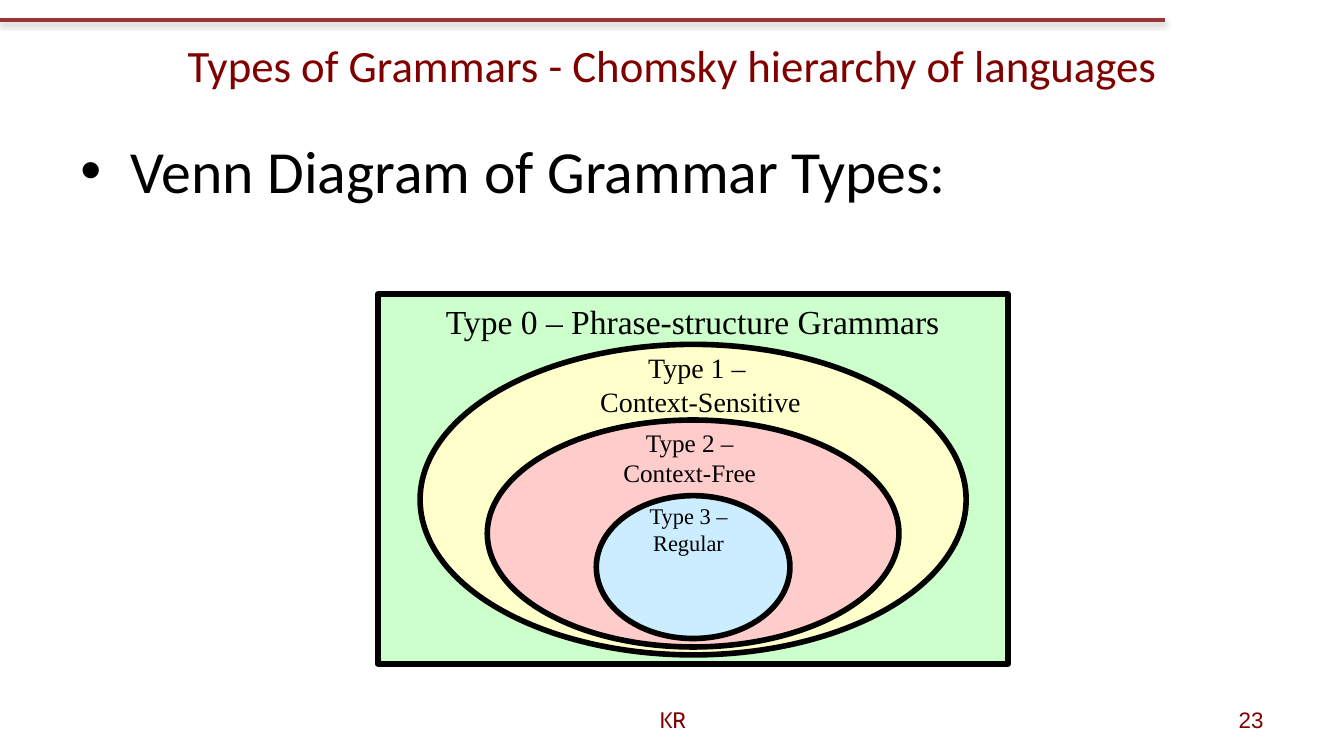
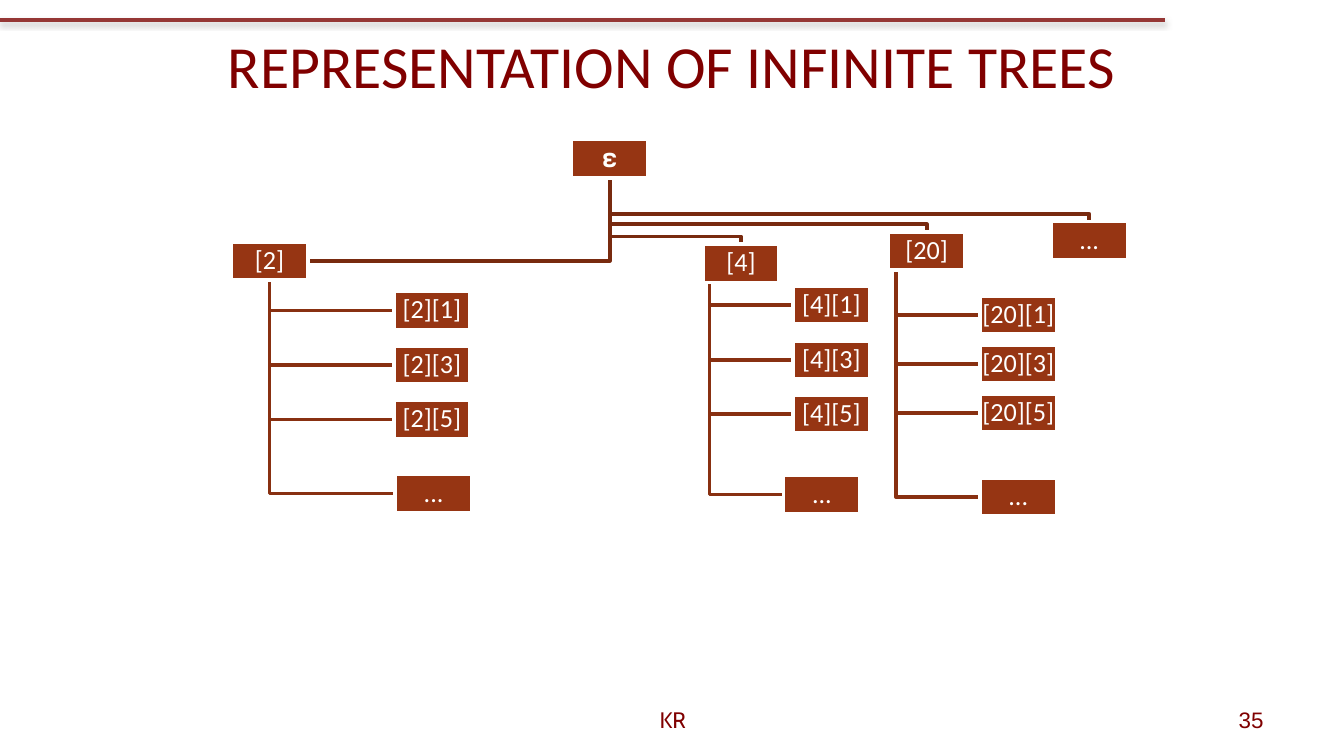
"""Builds two slides on formal grammars: nested grammar types and an infinite tree."""
import copy
import lxml.etree
import pptx
import pptx.dml.color
import pptx.enum.shapes
import pptx.enum.text
import pptx.oxml
import pptx.oxml.ns
import pptx.util

Cm = pptx.util.Cm
Pt = pptx.util.Pt
rgb = pptx.dml.color.RGBColor.from_string
qn = pptx.oxml.ns.qn
Align = pptx.enum.text.PP_ALIGN
Anchor = pptx.enum.text.MSO_ANCHOR
Kind = pptx.enum.shapes.MSO_SHAPE

hues = {
    "rule": "953735", "title": "800000", "ink": "000000", "white": "FFFFFF",
    "green": "CCFFCC", "cream": "FFFFCC", "pink": "FFCCCC", "sky": "CCECFF",
    "node": "963513", "stem": "782A0F", "twig": "883011",
}


def write(shape, text, size, hue, font="Calibri", align=Align.CENTER,
          anchor=Anchor.MIDDLE, wrap=True):
    """Fill a shape with one styled paragraph and return it."""
    frame = shape.text_frame
    frame.word_wrap = wrap
    frame.vertical_anchor = anchor
    para = frame.paragraphs[0]
    para.text = text
    para.alignment = align
    for run in para.runs:
        run.font.size = Pt(size)
        run.font.name = font
        run.font.color.rgb = rgb(hues[hue])
    for gap in para._p.findall(qn("a:br")):
        gap.insert(0, copy.deepcopy(para.runs[0]._r.rPr))
    return para


def paint(shape, fill, line, width):
    """Set fill and outline of a shape; no fill when the name is None."""
    shape.shadow.inherit = False
    if fill:
        shape.fill.solid()
        shape.fill.fore_color.rgb = rgb(hues[fill])
    else:
        shape.fill.background()
    shape.line.color.rgb = rgb(hues[line])
    shape.line.width = Pt(width)


deck = pptx.Presentation()
deck.slide_width = Cm(25.4)
deck.slide_height = Cm(14.29)

pages = []
for title, size, number in [
    ("Types of Grammars - Chomsky hierarchy of languages", 24, "23"),
    ("REPRESENTATION OF INFINITE TREES", 32, "35"),
]:
    slide = deck.slides.add_slide(deck.slide_layouts[6])
    shapes = slide.shapes
    rule = shapes.add_connector(pptx.enum.shapes.MSO_CONNECTOR.STRAIGHT,
                                Cm(0), Cm(0.38), Cm(22.02), Cm(0.38))
    rule.line.color.rgb = rgb(hues["rule"])
    rule.line.width = Pt(2)
    glow = lxml.etree.SubElement(rule._element.spPr, qn("a:effectLst"))
    cast = lxml.etree.SubElement(glow, qn("a:outerShdw"), blurRad="40000",
                                 dist="20000", dir="5400000", rotWithShape="0")
    tint = lxml.etree.SubElement(cast, qn("a:srgbClr"), val="808080")
    lxml.etree.SubElement(tint, qn("a:alpha"), val="38000")

    head = shapes.add_textbox(Cm(1.27), Cm(0.03), Cm(22.86), Cm(2.39))
    write(head, title, size, "title")
    foot = shapes.add_textbox(Cm(8.69), Cm(13.23), Cm(8.05), Cm(0.76))
    write(foot, "KR", 12, "title", "Cabin")
    page = shapes.add_textbox(Cm(18.21), Cm(13.23), Cm(5.92), Cm(0.76))
    write(page, number, 12, "title", "Arial", Align.RIGHT)
    pages.append(shapes)

venn, tree = pages

body = venn.add_textbox(Cm(1.27), Cm(2.41), Cm(22.86), Cm(10.36))
para = write(body, "Venn Diagram of Grammar Types:", 32, "ink",
             align=Align.LEFT, anchor=Anchor.TOP)
props = para._p.get_or_add_pPr()
props.set("marL", str(Cm(0.95)))
props.set("indent", str(-Cm(0.95)))
lxml.etree.SubElement(props, qn("a:buFont"), typeface="Arial")
lxml.etree.SubElement(props, qn("a:buChar"), char="•")

field = venn.add_shape(Kind.RECTANGLE, Cm(7.14), Cm(5.56), Cm(11.91), Cm(6.99))
paint(field, "green", "ink", 3)
write(field, "Type 0 – Phrase-structure Grammars", 18, "ink",
      "Times New Roman", anchor=Anchor.TOP, wrap=False)

for oval, fill, label, text, size in [
    ((7.94, 6.51, 10.32, 5.87), "cream", (11.07, 6.51, 4.34, 1.55),
     "Type 1 – \vContext-Sensitive", 15),
    ((9.21, 7.94, 7.78, 4.29), "pink", (11.51, 7.95, 3.05, 1.42),
     "Type 2 –\vContext-Free", 13.5),
    ((11.27, 9.37, 3.66, 2.7), "sky", (12.01, 9.37, 2.01, 1.27),
     "Type 3 –\vRegular", 12),
]:
    ring = venn.add_shape(Kind.OVAL, *map(Cm, oval))
    paint(ring, fill, "ink", 3)
    note = venn.add_textbox(*map(Cm, label))
    write(note, text, size, "ink", "Times New Roman",
          anchor=Anchor.TOP, wrap=False)

wide, high = 1.45, 0.72
half, mid = wide / 2, high / 2
left, top = 10.8, 2.64
start = (left + half, top + high)
nodes = [("𝛆", left, top)]
links = []

for name, x, y, inset, kid, first, step, more in [
    ("[2]", 4.37, 4.57, half, 7.44, 5.51, 1.03, (7.47, 8.97)),
    ("[4]", 13.28, 4.62, 0.13, 14.99, 5.41, 1.03, (14.81, 8.99)),
    ("[20]", 16.79, 4.39, 0.15, 18.52, 5.59, 0.93, (18.52, 9.04)),
    ("...", 19.86, 4.19, 0, 0, 0, 0, None),
]:
    nodes.append((name, x, y))
    if x < left:
        bend = [(start[0], y + mid), (x + wide, y + mid)]
    else:
        bend = [(start[0], y - 0.15), (x + half, y - 0.15), (x + half, y)]
    links.append(("stem", [start] + bend))
    if more:
        kids = [(f"{name}[{2 * i + 1}]", kid, first + i * step) for i in range(3)]
        kids.append(("...", *more))
        nodes += kids
        trunk = x + inset
        for _, end, row in kids:
            links.append(("twig", [(trunk, y + high), (trunk, row + mid),
                                   (end, row + mid)]))

for hue, points in links:
    spots = [(Cm(x), Cm(y)) for x, y in points]
    path = tree.build_freeform(*spots[0])
    path.add_line_segments(spots[1:], close=False)
    paint(path.convert_to_shape(), None, hue, 2)

for name, x, y in nodes:
    box = tree.add_shape(Kind.RECTANGLE, Cm(x), Cm(y), Cm(wide), Cm(high))
    paint(box, "node", "white", 2)
    frame = box.text_frame
    frame.margin_left = frame.margin_right = Cm(0.03)
    frame.margin_top = frame.margin_bottom = Cm(0.03)
    write(box, name, 14, "white", wrap=False).line_spacing = 0.9

deck.save("out.pptx")
